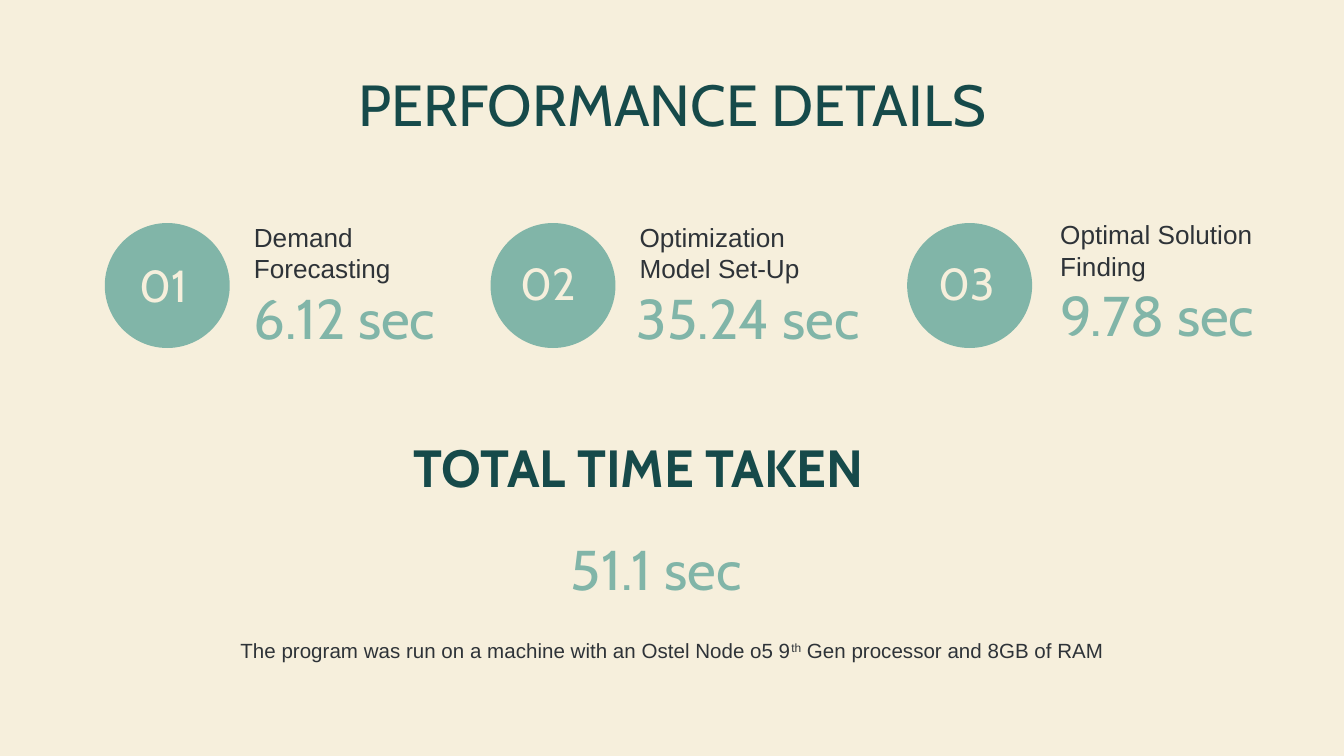
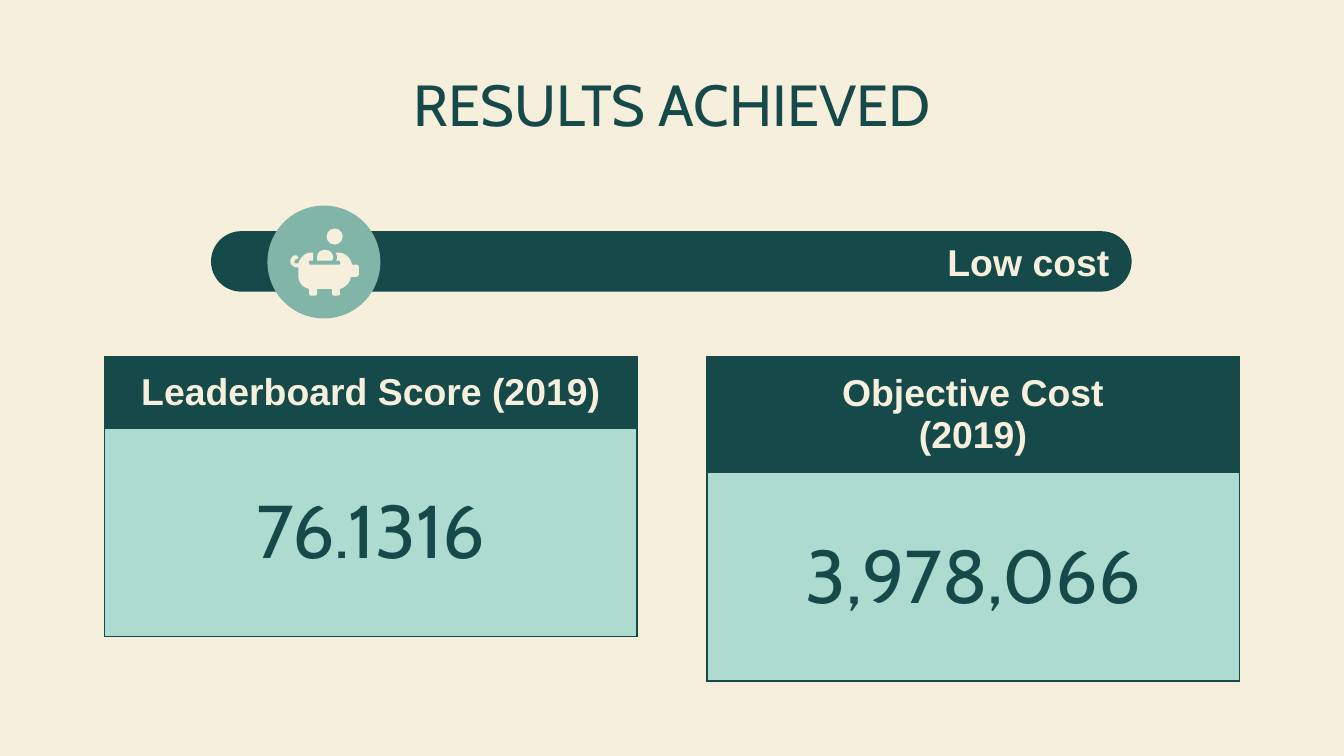
from lxml.etree import SubElement
from pptx import Presentation
from pptx.dml.color import RGBColor
from pptx.enum.shapes import MSO_SHAPE
from pptx.enum.text import MSO_ANCHOR, MSO_AUTO_SIZE, PP_ALIGN
from pptx.oxml.ns import qn
from pptx.util import Inches, Pt

CREAM, PINE, SAGE, MINT, INK = "F6EFDC", "164A4A", "81B5A8", "ADDBD0", "2E3338"
rgb = RGBColor.from_string

presentation = Presentation()
presentation.slide_width = Inches(10)
presentation.slide_height = Inches(10) * 9 // 16
STEP = presentation.slide_width // 100  # the grid has 100 columns of square cells

SIDES = ("margin_left", "margin_right", "margin_top", "margin_bottom")
PADDED = {**dict.fromkeys(SIDES, STEP), "vertical_anchor": MSO_ANCHOR.MIDDLE}
FLUSH = dict.fromkeys(SIDES, 0)
FITTED = {"word_wrap": False, "auto_size": MSO_AUTO_SIZE.SHAPE_TO_FIT_TEXT}

TITLE = (PINE, {"name": "Cabin", "size": Pt(31)})
HEADING = (PINE, {"name": "Cabin", "size": Pt(28), "bold": True})
DURATION = (SAGE, {"name": "Cabin", "size": Pt(30)})
NUMBER = (CREAM, {"name": "Cabin", "size": Pt(24)})
RESULT = (PINE, {"name": "Cabin", "size": Pt(40), "bold": False})
BAND = (CREAM, {"name": "Arial", "size": Pt(20), "bold": True})
LABEL = (INK, {"name": "Arial", "size": Pt(14)})
FOOTNOTE = (INK, {"name": "Arial", "size": Pt(11)})


def grid(*cells):
    """Turn grid cells into slide lengths."""
    return [round(cell * STEP) for cell in cells]


def write(holder, text, style, align=PP_ALIGN.LEFT, layout=PADDED):
    """Fill a text frame or table cell; text between ^ marks is superscript."""
    frame = getattr(holder, "text_frame", holder)
    frame.word_wrap = True
    for name, value in layout.items():
        setattr(holder, name, value)
    paragraph = frame.paragraphs[0]
    paragraph.alignment = align
    colour, font_format = style
    for row, line in enumerate(text.split("\n")):
        if row:
            paragraph.add_line_break()
        for position, piece in enumerate(line.split("^")):
            run = paragraph.add_run()
            run.text = piece
            run.font.color.rgb = rgb(colour)
            for name, value in font_format.items():
                setattr(run.font, name, value)
            if position % 2:
                run.font._element.set("baseline", "30000")


# Slides with their shared background and title
slides = []
for title in ("PERFORMANCE DETAILS", "RESULTS ACHIEVED"):
    slide = presentation.slides.add_slide(presentation.slide_layouts[6])
    slide.background.fill.solid()
    slide.background.fill.fore_color.rgb = rgb(CREAM)
    box = slide.shapes.add_textbox(*grid(7.8, 5.1, 84.4, 5))
    write(box.text_frame, title, TITLE, PP_ALIGN.CENTER, FLUSH)
    slides.append(slide)
performance, results = slides
filled_shapes = []

# Performance: numbered steps with their durations
# number, circle left, number box, label left and top, duration left and width
steps = [
    ("01", 7.8, (9.2, 18.7, 5.9, 5), (17.9, 16.4), (17.9, 17.9),
     "Demand Forecasting", "6.12 sec"),
    ("02", 36.5, (37.7, 18.5, 6.2, 5), (46.6, 16.4), (46.4, 21.1),
     "Optimization Model Set-Up", "35.24 sec"),
    ("03", 67.5, (68.8, 18.5, 6.3, 5), (77.9, 16.2), (77.9, 19.3),
     "Optimal Solution Finding", "9.78 sec"),
]
for number, circle_left, number_box, label_place, duration_span, label, duration in steps:
    circle = performance.shapes.add_shape(MSO_SHAPE.OVAL, *grid(circle_left, 16.6, 9.3, 9.3))
    filled_shapes.append((circle, SAGE))
    box = performance.shapes.add_textbox(*grid(*number_box))
    write(box.text_frame, number, NUMBER, PP_ALIGN.CENTER, FITTED)
    box = performance.shapes.add_textbox(*grid(*label_place, 17.2, 4.8))
    write(box.text_frame, label, LABEL)
    duration_left, duration_width = duration_span
    box = performance.shapes.add_textbox(
        *grid(duration_left, label_place[1] + 4.8, duration_width, 4.8))
    write(box.text_frame, duration, DURATION)

# Performance: total and footnote
for area, text, style, align in [
    ((29.8, 32.3, 42.3, 4.8), "TOTAL TIME TAKEN", HEADING, PP_ALIGN.LEFT),
    ((41.5, 39.9, 18.1, 4.8), "51.1 sec", DURATION, PP_ALIGN.LEFT),
    ((7.9, 47.5, 84.2, 1.8),
     "The program was run on a machine with an Ostel Node o5 9^th^ Gen processor and 8GB of RAM",
     FOOTNOTE, PP_ALIGN.CENTER),
]:
    box = performance.shapes.add_textbox(*grid(*area))
    write(box.text_frame, text, style, align)

# Results: cost bar with its badge
bar = results.shapes.add_shape(MSO_SHAPE.ROUNDED_RECTANGLE, *grid(15.7, 17.2, 68.5, 4.5))
bar.adjustments[0] = 0.5
write(bar.text_frame, "Low cost", BAND, PP_ALIGN.RIGHT)
badge = results.shapes.add_shape(MSO_SHAPE.OVAL, *grid(19.9, 15.3, 8.4, 8.4))
coin = results.shapes.add_shape(MSO_SHAPE.OVAL, *grid(24.3, 17, 1.2, 1.2))
filled_shapes += [(bar, PINE), (badge, SAGE), (coin, CREAM)]

# Results: piggy bank outlines in tenths of a cell; pairs are lines, sixes are curves
piggy_bank = [
    (231, 188), (227, 188, 223, 192, 222, 196), (221, 196),
    (220, 196, 219, 196, 219, 195), (219, 194, 220, 193, 220, 193),
    (221, 193, 222, 192, 222, 192), (222, 191, 221, 190, 220, 190),
    (218, 190, 216, 192, 216, 195), (216, 197, 219, 199, 221, 199),
    (222, 199), (222, 205), (222, 210, 225, 214, 230, 215),
    (230, 219), (231, 220), (235, 220), (236, 219), (236, 215),
    (247, 215), (247, 219), (248, 220), (252, 220), (253, 219), (253, 215),
    (257, 214, 261, 210, 261, 206), (265, 206), (266, 206, 267, 205, 267, 204),
    (267, 198), (266, 197), (262, 197), (261, 192, 257, 188, 252, 188),
    (250, 188), (250, 189, 251, 190, 251, 192), (250, 194), (252, 194),
    (252, 194, 253, 194, 253, 195), (254, 196, 253, 197, 252, 197),
    (231, 197), (230, 197, 230, 196, 230, 195), (229, 194, 230, 194, 231, 194),
    (233, 194), (233, 192), (233, 190, 233, 189, 233, 188),
]
sinking_coin = [
    (242, 186), (238, 186, 236, 188, 236, 192), (236, 194), (247, 194),
    (248, 192), (248, 188, 245, 186, 242, 186),
]
for outline in (piggy_bank, sinking_coin):
    points = [outline[0]]
    for segment in outline[1:]:
        if len(segment) == 2:
            points.append(segment)
            continue
        controls = [points[-1], segment[:2], segment[2:4], segment[4:]]
        for part in range(1, 9):
            t = part / 8
            weights = ((1 - t) ** 3, 3 * t * (1 - t) ** 2, 3 * t * t * (1 - t), t ** 3)
            points.append(tuple(
                sum(weight * control[axis] for weight, control in zip(weights, controls))
                for axis in (0, 1)))
    corners = [grid(x / 10, y / 10) for x, y in points]
    builder = results.shapes.build_freeform(*corners[0])
    builder.add_line_segments(corners[1:], close=True)
    filled_shapes.append((builder.convert_to_shape(), CREAM))

# Results: one table per score
for left, heading, value in [
    (7.8, "Leaderboard Score (2019)", "76.1316"),
    (52.6, "Objective Cost\n(2019)", "3,978,066"),
]:
    table = results.shapes.add_table(2, 1, *grid(left, 26.5, 39.6, 20.7)).table
    for row, (text, style, colour, height) in enumerate([
        (heading, BAND, PINE, 5.2),
        (value, RESULT, MINT, 15.5),
    ]):
        table.rows[row].height = grid(height)[0]
        cell = table.cell(row, 0)
        write(cell, text, style, PP_ALIGN.CENTER)
        for edge in ("a:lnL", "a:lnR", "a:lnT", "a:lnB"):
            border = SubElement(cell._tc.get_or_add_tcPr(), qn(edge), w=str(Pt(0.75)))
            SubElement(SubElement(border, qn("a:solidFill")), qn("a:srgbClr"), val=PINE)
        cell.fill.solid()
        cell.fill.fore_color.rgb = rgb(colour)

for shape, colour in filled_shapes:
    shape.shadow.inherit = False
    shape.fill.solid()
    shape.fill.fore_color.rgb = rgb(colour)
    shape.line.fill.background()

presentation.save("out.pptx")
